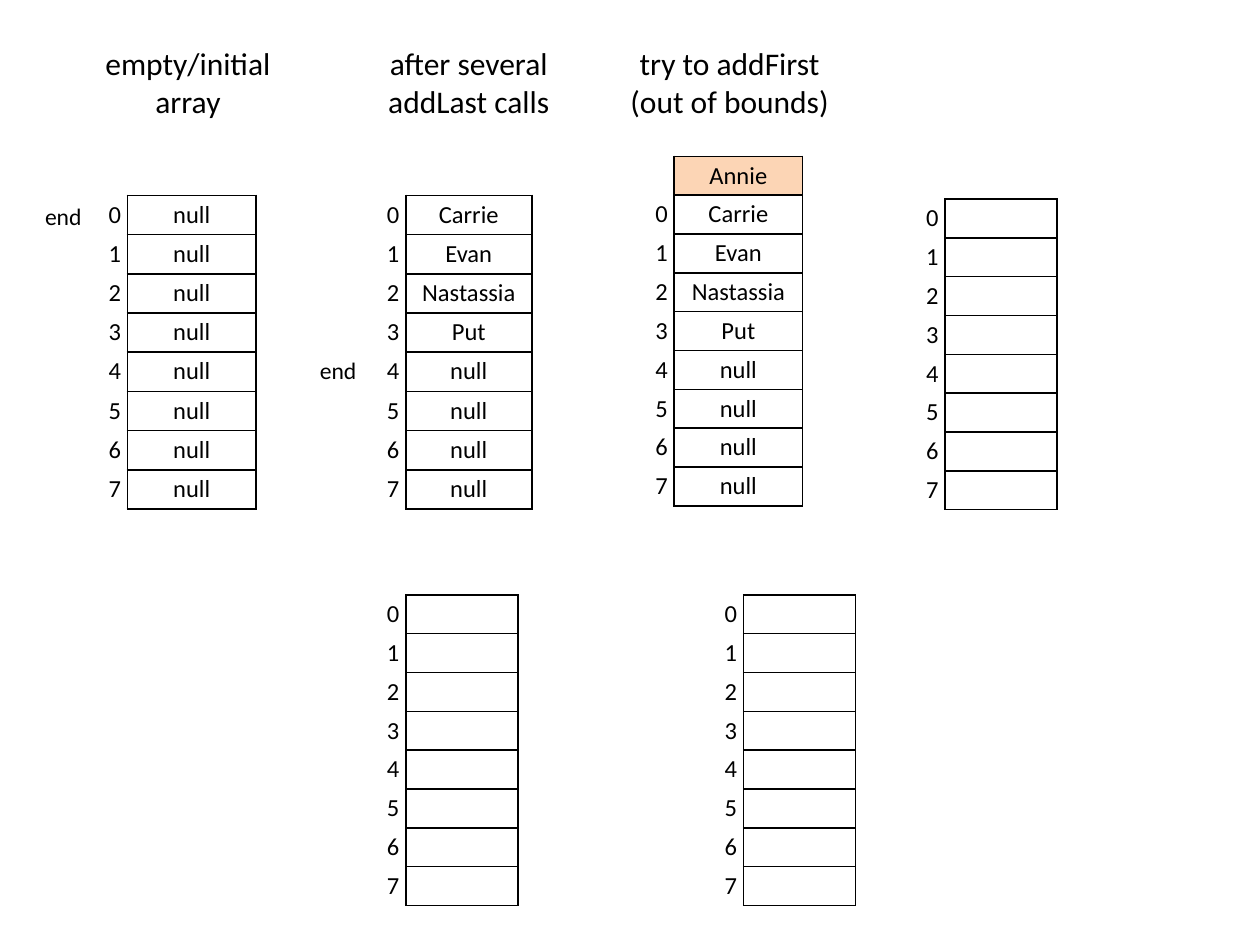
"""Build the slide of array states around addLast and addFirst calls."""
from dataclasses import dataclass
from typing import Any

from lxml.etree import SubElement
from pptx import Presentation
from pptx.dml.color import RGBColor
from pptx.enum.text import MSO_AUTO_SIZE, PP_ALIGN
from pptx.oxml.ns import qn
from pptx.util import Cm, Pt


@dataclass(frozen=True)
class Theme:
    font: str = "Calibri"
    ink: str = "000000"
    overflow: str = "FCD5B5"
    cell_size: float = 14
    pointer_size: float = 13.5
    heading_size: float = 18
    border: float = 1
    plain_style: str = "{2D5ABB26-0587-4C30-8999-92F81FD0307C}"


@dataclass(frozen=True)
class ArrayState:
    left: float
    top: float
    width: float
    values: tuple[str, ...]
    pitch: float = 6.27 / 8
    overflow: int = 0


@dataclass(frozen=True)
class Label:
    left: float
    top: float
    width: float
    height: float
    text: str
    size: float
    align: Any = PP_ALIGN.LEFT
    wrap: bool = False


THEME = Theme()
CAPACITY = 8
INDEX_WIDTH, INDEX_OFFSET = 0.91, 0.71
CELL_FORMAT = {
    "margin_left": Cm(0.19), "margin_right": Cm(0.19),
    "margin_top": Cm(0.09), "margin_bottom": Cm(0.09),
}
TABLE_FORMAT = {"first_row": False, "horz_banding": False}

INITIAL = ("null",) * CAPACITY
FILLED = ("Carrie", "Evan", "Nastassia", "Put") + ("null",) * 4
BLANK = ("",) * CAPACITY

ARRAYS = (
    ArrayState(2.57, 3.94, 2.59, INITIAL, pitch=0.79),
    ArrayState(8.18, 3.94, 2.54, FILLED, pitch=0.79),
    ArrayState(13.59, 3.15, 2.59, ("Annie",) + FILLED, overflow=1),
    ArrayState(19.05, 4.01, 2.26, BLANK),
    ArrayState(8.18, 11.99, 2.26, BLANK),
    ArrayState(14.99, 11.99, 2.26, BLANK),
)
POINTERS = tuple(
    Label(left, top, 1.27, 0.84, "end", THEME.pointer_size)
    for left, top in ((0.66, 3.94), (6.2, 7.06))
)
HEADINGS = tuple(
    Label(left, 0.76, width, 1.8, text, THEME.heading_size, PP_ALIGN.CENTER, True)
    for left, width, text in (
        (1.63, 4.32, "empty/initial array"),
        (7.29, 4.32, "after several addLast calls"),
        (12.32, 4.78, "try to addFirst (out of bounds)"),
    )
)


def apply_format(target: Any, values: dict[str, Any]) -> None:
    """Set each named attribute on the target."""
    for attribute, value in values.items():
        setattr(target, attribute, value)


def write_text(frame: Any, text: str, size: float, align: Any) -> None:
    """Write one paragraph in the theme font."""
    paragraph = frame.paragraphs[0]
    paragraph.text = text
    paragraph.alignment = align
    for run in paragraph.runs:
        apply_format(run.font, {"size": Pt(size), "name": THEME.font})
        run.font.color.rgb = RGBColor.from_string(THEME.ink)


def add_borders(properties: Any) -> None:
    """Draw a solid line on every side of a cell."""
    for order, side in enumerate(("a:lnL", "a:lnR", "a:lnT", "a:lnB")):
        line = SubElement(properties, qn(side), w=str(Pt(THEME.border)))
        solid = SubElement(line, qn("a:solidFill"))
        SubElement(solid, qn("a:srgbClr"), val=THEME.ink)
        properties.insert(order, line)


def add_column(slide: Any, left: float, top: float, width: float, pitch: float,
               values: tuple[str, ...], bordered: bool, overflow: int = 0) -> None:
    """Add a one-column table with evenly spaced rows."""
    holder = slide.shapes.add_table(
        len(values), 1, Cm(left), Cm(top), Cm(width), Cm(pitch * len(values)))
    for style in holder.element.iter(qn("a:tableStyleId")):
        style.text = THEME.plain_style
    table = holder.table
    apply_format(table, TABLE_FORMAT)
    for row, value in enumerate(values):
        table.rows[row].height = Cm(pitch)
        cell = table.cell(row, 0)
        apply_format(cell, CELL_FORMAT)
        write_text(cell.text_frame, value, THEME.cell_size, PP_ALIGN.CENTER)
        if row < overflow:
            cell.fill.solid()
            cell.fill.fore_color.rgb = RGBColor.from_string(THEME.overflow)
        else:
            cell.fill.background()
    for paragraph in holder.element.iter(qn("a:p")):
        SubElement(paragraph, qn("a:endParaRPr"), sz=str(THEME.cell_size * 100))
    if bordered:
        for properties in holder.element.iter(qn("a:tcPr")):
            add_borders(properties)


def add_array(slide: Any, state: ArrayState) -> None:
    """Add the array values and the indices to their left."""
    add_column(slide, state.left, state.top, state.width, state.pitch,
               state.values, True, state.overflow)
    add_column(slide, state.left - INDEX_OFFSET,
               state.top + state.overflow * state.pitch, INDEX_WIDTH,
               state.pitch, tuple(map(str, range(CAPACITY))), False)


def add_label(slide: Any, label: Label) -> None:
    """Add a heading or a pointer name."""
    box = slide.shapes.add_textbox(
        Cm(label.left), Cm(label.top), Cm(label.width), Cm(label.height))
    apply_format(box.text_frame, {
        "word_wrap": label.wrap, "auto_size": MSO_AUTO_SIZE.SHAPE_TO_FIT_TEXT})
    write_text(box.text_frame, label.text, label.size, label.align)


def main() -> None:
    """Create and save the presentation."""
    deck = Presentation()
    apply_format(deck, {"slide_width": Cm(25.4), "slide_height": Cm(19.05)})
    slide = deck.slides.add_slide(deck.slide_layouts[6])
    for state in ARRAYS:
        add_array(slide, state)
    for label in POINTERS + HEADINGS:
        add_label(slide, label)
    deck.save("out.pptx")


main()
